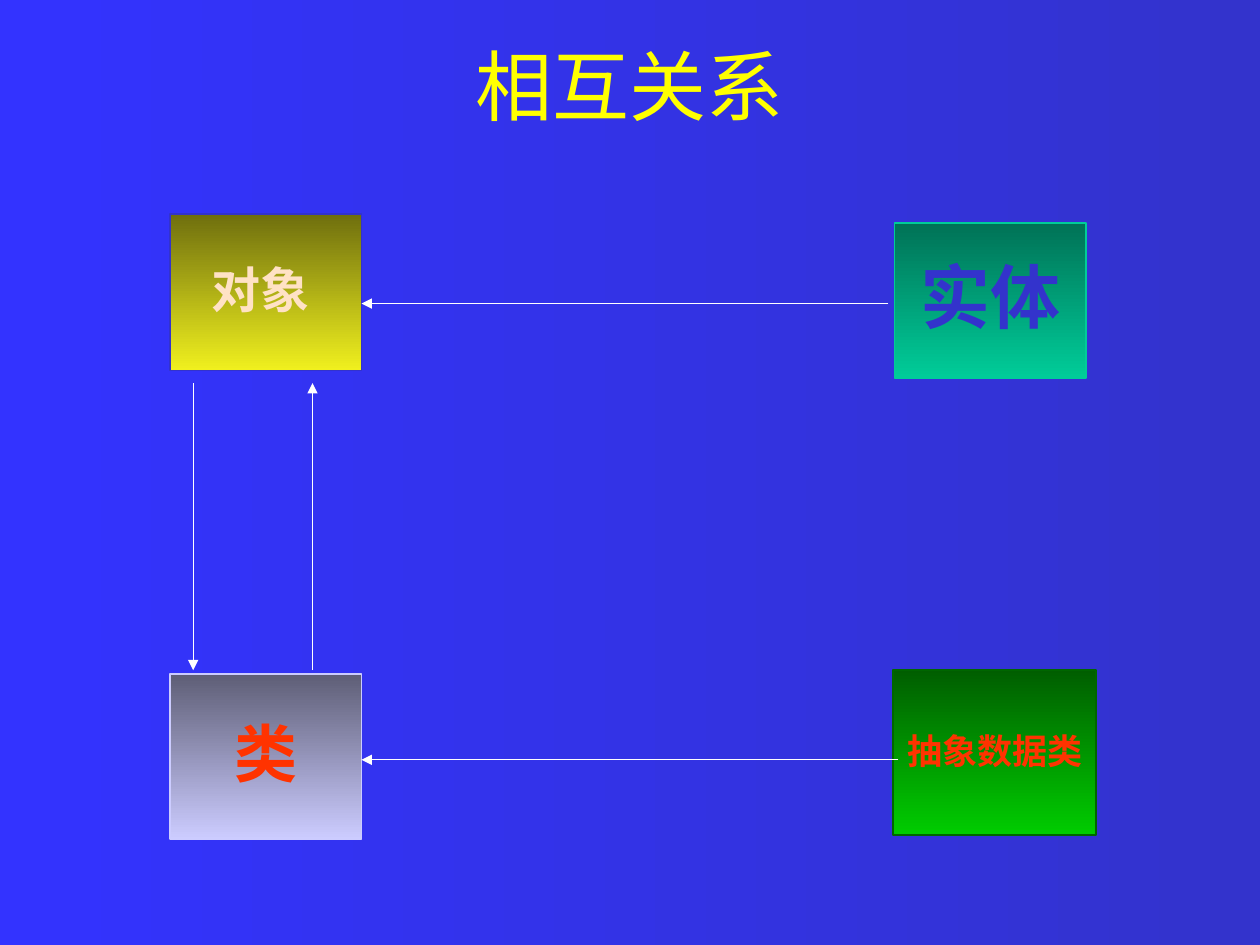
from typing import NamedTuple

from lxml.etree import SubElement
from pptx import Presentation
from pptx.dml.color import RGBColor
from pptx.enum.shapes import MSO_CONNECTOR as Link, MSO_SHAPE as Form
from pptx.enum.text import MSO_ANCHOR as Anchor, MSO_AUTO_SIZE as Fit, PP_ALIGN as Align
from pptx.oxml.ns import qn
from pptx.util import Pt

CJK = "Noto Sans CJK SC"


class Box(NamedTuple):
    text: str
    left: float
    top: float
    width: float
    height: float
    dark: str
    light: str
    edge: str
    ink: str
    size: float
    font: str = CJK


class Arrow(NamedTuple):
    x1: float
    y1: float
    x2: float
    y2: float


BOXES = [
    Box("对象 ", 97.2, 122.4, 109.4, 89.4, "6F6F0E", "F0F01E", "3333CC", "FFE2C5", 28, "Arial"),
    Box("实体", 511.2, 127.4, 109.4, 88.6, "007256", "00CC99", "00CC99", "3333CC", 40),
    Box("类", 97.2, 385.2, 109.4, 94.3, "5E5E76", "CCCCFF", "CCCCFF", "FF3300", 36),
    Box("抽象数据类", 510.5, 383, 115.9, 94.3, "005E00", "00CC00", "006600", "FF3300", 20),
]
ARROWS = [
    Arrow(110.4, 218.9, 110.4, 383),
    Arrow(178.6, 383, 178.6, 218.9),
    Arrow(513.4, 434.2, 206.6, 434.2),
    Arrow(507.6, 173.5, 206.6, 173.5),
]


def color(code: str) -> RGBColor:
    return RGBColor.from_string(code)


def shade(fill, start: str, end: str, angle: float) -> None:
    fill.gradient()
    fill.gradient_angle = angle
    for stop, code in zip(fill.gradient_stops, (start, end)):
        stop.color.rgb = color(code)


def write(frame, text: str, size: float, ink: str, font: str, bold: bool) -> None:
    frame.text = text
    frame.vertical_anchor = Anchor.MIDDLE
    frame.auto_size = Fit.NONE
    para = frame.paragraphs[0]
    para.alignment = Align.CENTER
    run = para.runs[0]
    run.font.size = Pt(size)
    run.font.bold = bold
    run.font.color.rgb = color(ink)
    run.font.name = font
    SubElement(run.font._element, qn("a:ea"), typeface=CJK)


def draw_box(slide, box: Box) -> None:
    shape = slide.shapes.add_shape(
        Form.RECTANGLE, Pt(box.left), Pt(box.top), Pt(box.width), Pt(box.height))
    shape.shadow.inherit = False
    shade(shape.fill, box.dark, box.light, 270)
    shape.line.color.rgb = color(box.edge)
    shape.line.width = Pt(1)
    frame = shape.text_frame
    write(frame, box.text, box.size, box.ink, box.font, True)
    frame.word_wrap = False
    frame.paragraphs[0].line_spacing = 0.9


def draw_arrow(slide, arrow: Arrow) -> None:
    line = slide.shapes.add_connector(Link.STRAIGHT, *map(Pt, arrow))
    line.line.color.rgb = color("FFFFFF")
    line.line.width = Pt(0.75)
    SubElement(line.line._get_or_add_ln(), qn("a:tailEnd"), type="triangle")
    SubElement(line._element.spPr, qn("a:effectLst"))


def main() -> None:
    deck = Presentation()
    deck.slide_width, deck.slide_height = Pt(720), Pt(540)
    slide = deck.slides.add_slide(deck.slide_layouts[5])
    shade(slide.background.fill, "3333FF", "3333CC", 0)

    # Title
    title = slide.shapes.title
    title.left, title.top, title.width, title.height = Pt(0), Pt(3.6), Pt(720), Pt(90)
    write(title.text_frame, "相互关系", 44, "FFFF00", CJK, False)

    # Concepts and the links between them
    for box in BOXES:
        draw_box(slide, box)
    for arrow in ARROWS:
        draw_arrow(slide, arrow)

    deck.save("out.pptx")


if __name__ == "__main__":
    main()
